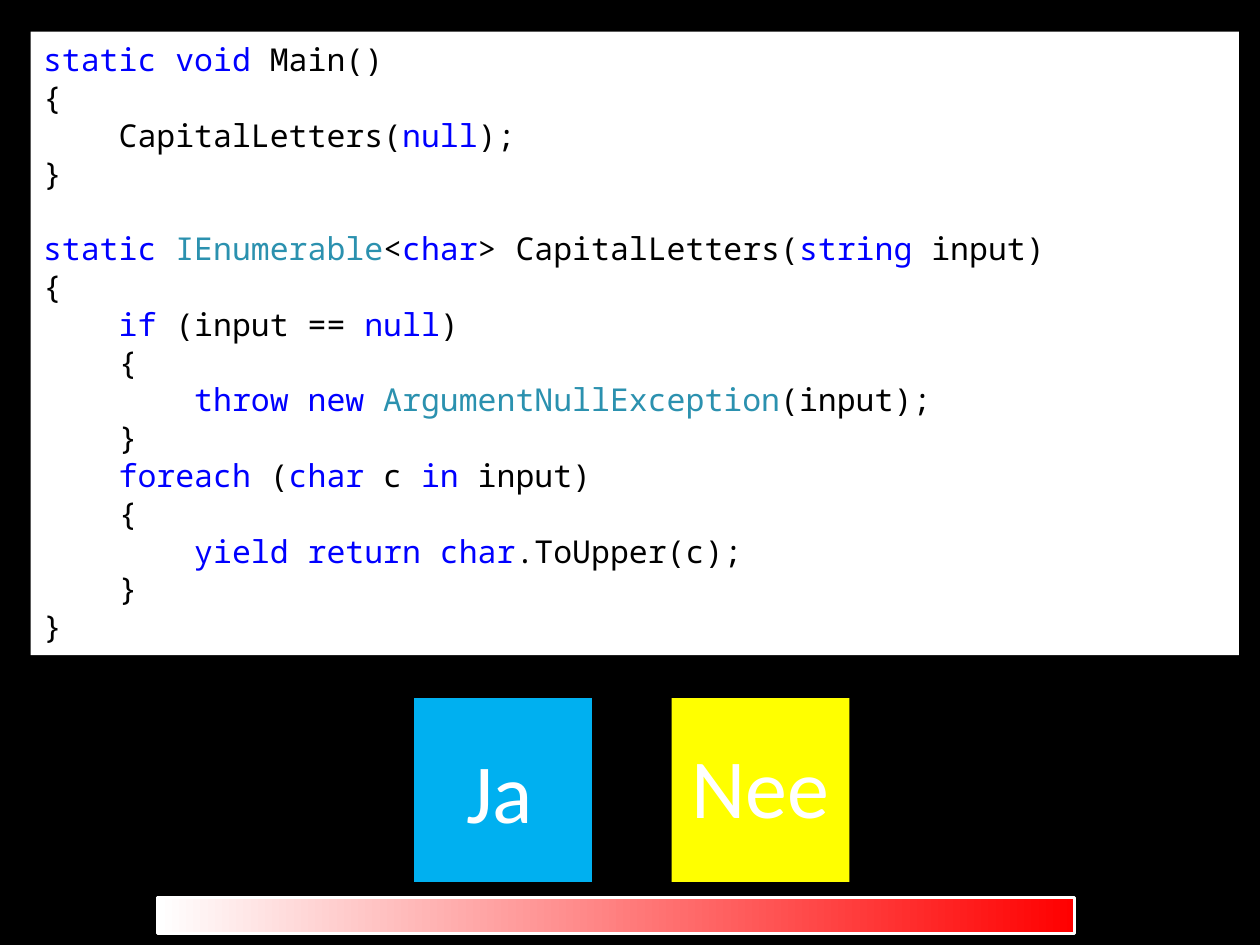
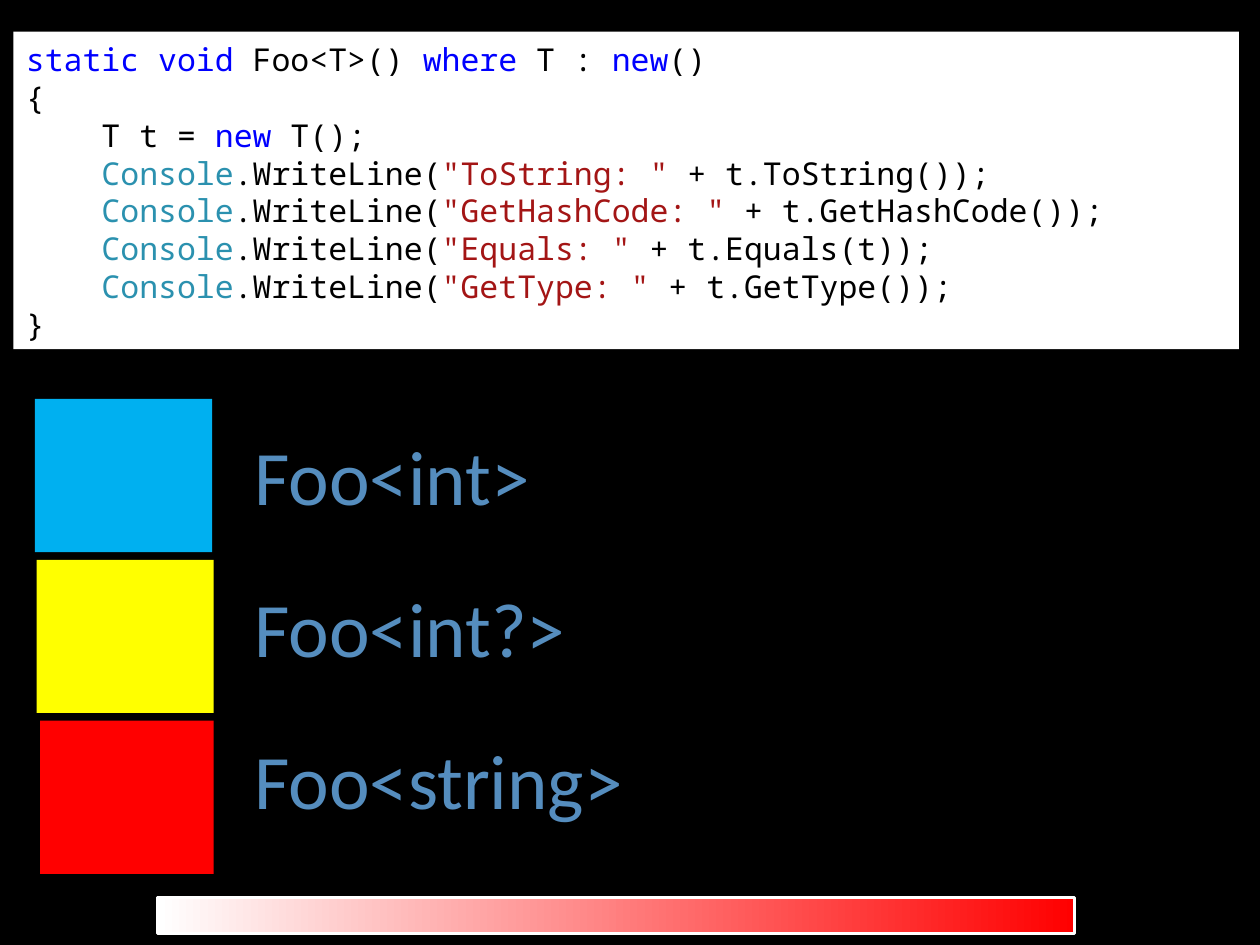
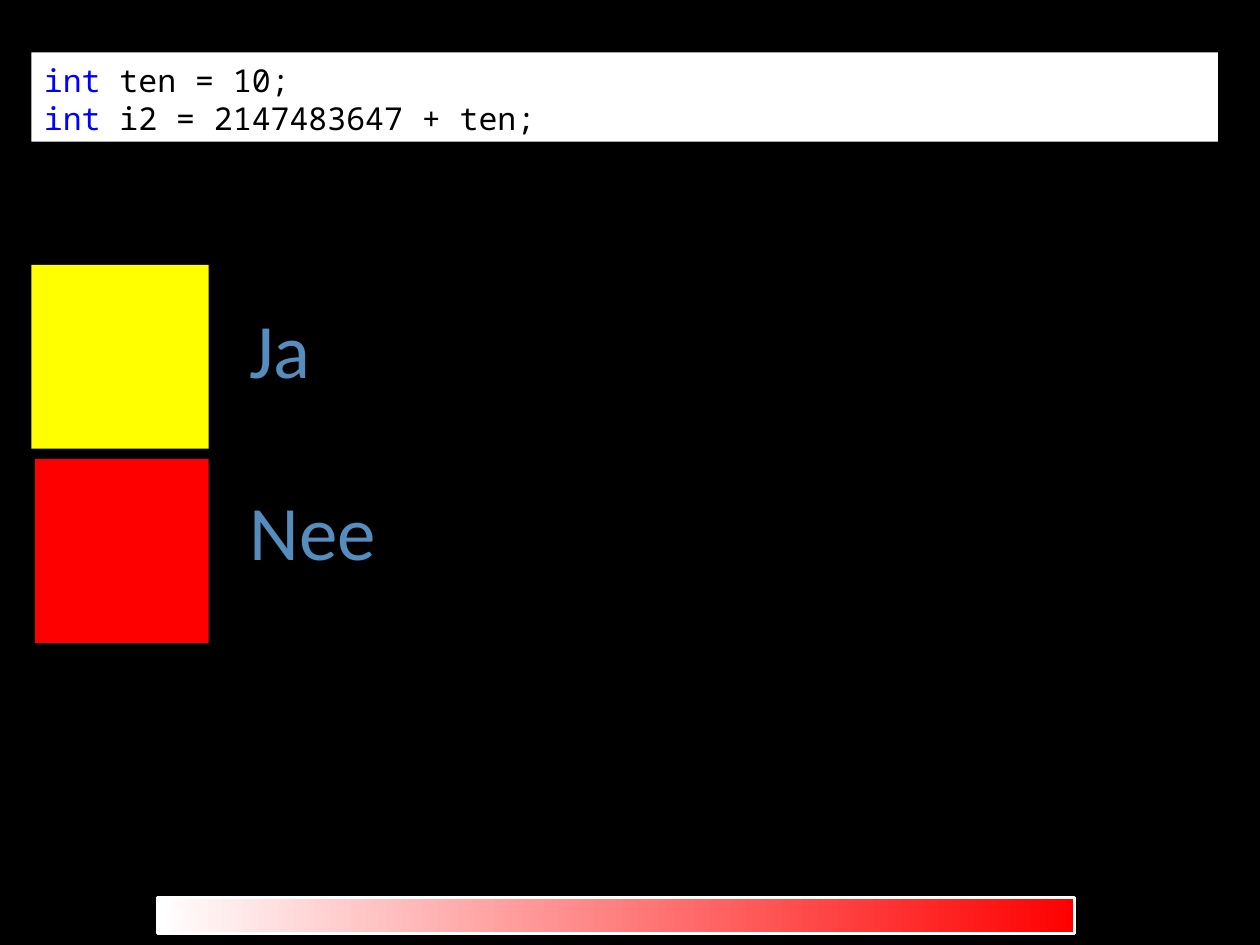
from dataclasses import dataclass
from itertools import groupby

from pptx import Presentation
from pptx.dml.color import RGBColor as RGB
from pptx.enum.shapes import MSO_SHAPE as Shape
from pptx.enum.text import MSO_ANCHOR as Anchor, PP_ALIGN as Align
from pptx.util import Pt


@dataclass(frozen=True)
class Theme:
    black: str = "000000"
    white: str = "FFFFFF"
    blue: str = "00B0F0"
    yellow: str = "FFFF00"
    red: str = "FF0000"
    label: str = "558DBE"
    keyword: str = "0000FF"
    type: str = "2B91AF"
    string: str = "A31515"
    font: str = "Calibri"
    mono: str = "Noto Sans Mono"
    code_size: float = 18
    code_line: float = 21.6
    tile_size: float = 48
    label_size: float = 44


THEME = Theme()
KEYWORDS = set("static void null char string if throw new foreach in yield "
               "return where int".split())
TYPES = {"IEnumerable", "ArgumentNullException", "Console"}

CAPITALS = """static void Main()
{
    CapitalLetters(null);
}

static IEnumerable<char> CapitalLetters(string input)
{
    if (input == null)
    {
        throw new ArgumentNullException(input);
    }
    foreach (char c in input)
    {
        yield return char.ToUpper(c);
    }
}"""

GENERIC = """static void Foo<T>() where T : new()
{
    T t = new T();
    Console.WriteLine("ToString: " + t.ToString());
    Console.WriteLine("GetHashCode: " + t.GetHashCode());
    Console.WriteLine("Equals: " + t.Equals(t));
    Console.WriteLine("GetType: " + t.GetType());
}"""

OVERFLOW = """int ten = 10;
int i2 = 2147483647 + ten;"""


def tokens(line):
    """Yield each piece of a code line with its colour."""
    for i, part in enumerate(line.split('"')):
        if i % 2:
            yield f'"{part}"', THEME.string
            continue
        for _, chars in groupby(part, str.isalnum):
            word = "".join(chars)
            if word in KEYWORDS:
                yield word, THEME.keyword
            elif word in TYPES:
                yield word, THEME.type
            else:
                yield word, THEME.black


class Deck:
    def __init__(self, theme):
        self.theme = theme
        self.prs = Presentation()
        self.prs.slide_width, self.prs.slide_height = Pt(720), Pt(540)
        fill = self.prs.slide_master.background.fill
        fill.solid()
        fill.fore_color.rgb = RGB.from_string(theme.black)
        self.slide = None

    def start(self):
        """Add a slide with the timer bar at its foot."""
        self.slide = self.prs.slides.add_slide(self.prs.slide_layouts[6])
        self.timer()

    def rect(self, left, top, width, height, color=None):
        box = self.slide.shapes.add_shape(
            Shape.RECTANGLE, Pt(left), Pt(top), Pt(width), Pt(height))
        box.shadow.inherit = False
        box.line.fill.background()
        if color:
            box.fill.solid()
            box.fill.fore_color.rgb = RGB.from_string(color)
        else:
            box.fill.background()
        return box

    def timer(self):
        t = self.theme
        bar = self.rect(90, 514, 524, 20)
        bar.fill.gradient()
        bar.fill.gradient_angle = 0
        for stop, color in zip(bar.fill.gradient_stops, (t.white, t.red)):
            stop.color.rgb = RGB.from_string(color)
        frame = self.rect(90, 512.8, 524, 20.8)
        frame.line.color.rgb = RGB.from_string(t.white)
        frame.line.width = Pt(2)

    def run(self, para, text, font, size, color):
        run = para.add_run()
        run.text = text
        run.font.name, run.font.size = font, Pt(size)
        run.font.color.rgb = RGB.from_string(color)

    def code(self, left, top, width, height, source):
        t = self.theme
        frame = self.rect(left, top, width, height, t.white).text_frame
        frame.word_wrap = True
        frame.vertical_anchor = Anchor.TOP
        frame.margin_top = Pt(5)
        para, gap = frame.paragraphs[0], 0
        for i, line in enumerate(source.split("\n")):
            if not line:
                gap += t.code_line
                continue
            if i:
                para = frame.add_paragraph()
            para.alignment = Align.LEFT
            para.line_spacing = Pt(t.code_line)
            para.space_before = Pt(gap)
            gap = 0
            for color, group in groupby(tokens(line), lambda pair: pair[1]):
                text = "".join(word for word, _ in group)
                self.run(para, text, t.mono, t.code_size, color)

    def label(self, left, top, width, height, text, size, color,
              align=Align.LEFT):
        box = self.slide.shapes.add_textbox(
            Pt(left), Pt(top), Pt(width), Pt(height))
        frame = box.text_frame
        frame.word_wrap = True
        frame.vertical_anchor = Anchor.MIDDLE
        para = frame.paragraphs[0]
        para.alignment = align
        self.run(para, text, self.theme.font, size, color)

    def tile(self, left, color, text, dx=0, dy=0):
        """Draw a square answer, its text moved by dx and dy."""
        top, width, height = 399, 101.5, 105
        self.rect(left, top, width, height, color)
        self.label(left + dx, top + dy, width, height, text,
                   self.theme.tile_size, self.theme.white, Align.CENTER)

    def tiles(self, top, pitch, height, items):
        """Stack colour tiles given as (left, width, colour)."""
        for i, (left, width, color) in enumerate(items):
            self.rect(left, top + i * pitch, width, height, color)

    def labels(self, left, top, pitch, texts):
        for i, text in enumerate(texts):
            self.label(left, top + i * pitch, 564, pitch, text,
                       self.theme.label_size, self.theme.label)


def main():
    t = THEME
    deck = Deck(t)

    deck.start()
    deck.tile(236.7, t.blue, "Ja", dx=-2)
    deck.tile(383.8, t.yellow, "Nee", dy=-3)
    deck.code(17.5, 18, 690.5, 356.4, CAPITALS)

    deck.start()
    deck.code(7.7, 18, 700.3, 181.5, GENERIC)
    deck.tiles(228, 91.9, 87.6, [(20, 101.2, t.blue), (20.9, 101.2, t.yellow),
                                 (22.9, 99.2, t.red)])
    deck.labels(138.2, 228, 86.8, ["Foo<int>", "Foo<int?>", "Foo<string>"])

    deck.start()
    deck.code(18, 30, 678, 51, OVERFLOW)
    deck.tiles(151.4, 111, 105, [(18, 101.3, t.yellow), (20, 99.3, t.red)])
    deck.labels(135.4, 147, 103.7, ["Ja", "Nee"])

    deck.prs.save("out.pptx")


if __name__ == "__main__":
    main()
